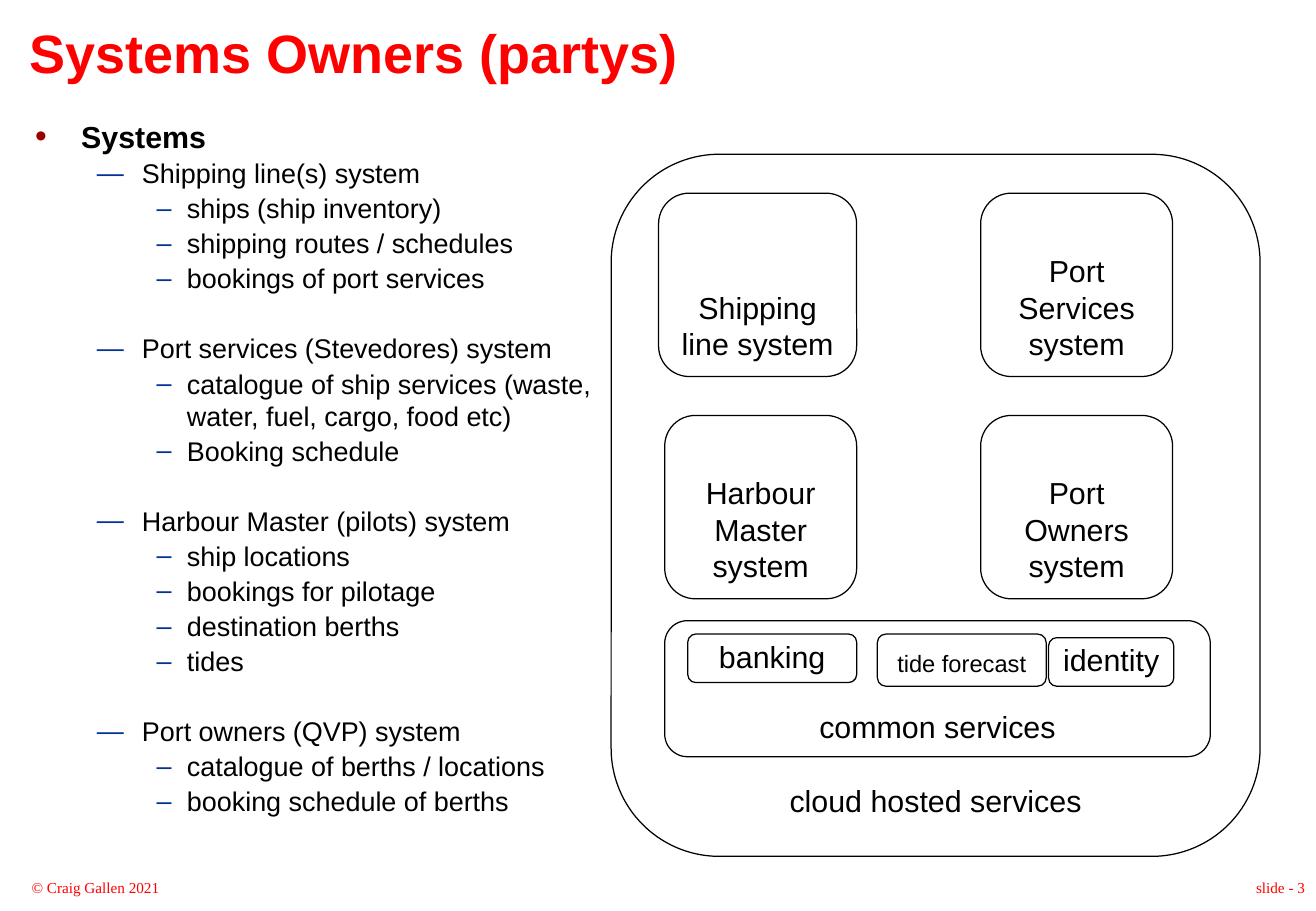
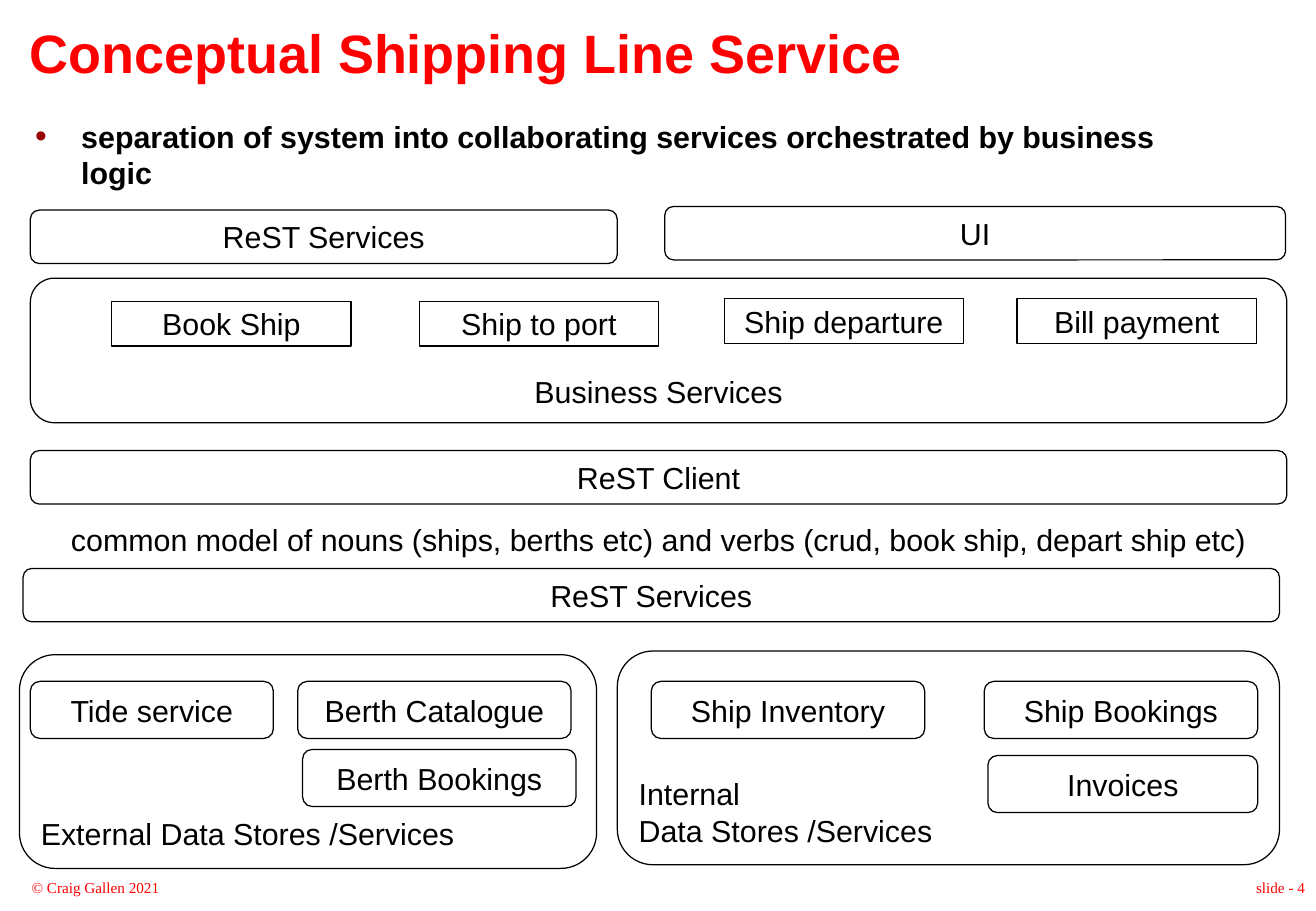
"""Build two slides on the systems and services of a port."""
from pptx import Presentation
from pptx.dml.color import RGBColor
from pptx.enum.shapes import MSO_SHAPE
from pptx.enum.text import MSO_ANCHOR, MSO_AUTO_SIZE, PP_ALIGN
from pptx.oxml import parse_xml
from pptx.oxml.ns import nsdecls
from pptx.util import Inches, Pt

RED = RGBColor(0xFF, 0x00, 0x00)
BLACK = RGBColor(0x00, 0x00, 0x00)
WHITE = RGBColor(0xFF, 0xFF, 0xFF)
DARK_RED = RGBColor(0x99, 0x00, 0x00)
NAVY = RGBColor(0x00, 0x33, 0x99)

CELL = Inches(0.1)
COLUMNS, ROWS = 108.3, 75
TITLE_ONLY = 5

BULLETS = (
    {"mark": "•", "color": DARK_RED, "percent": 110, "margin": 0.38, "hang": 0.38, "size": 18},
    {"mark": "—", "color": NAVY, "percent": 100, "margin": 0.88, "hang": 0.37, "size": 16},
    {"mark": "–", "color": NAVY, "percent": 100, "margin": 1.25, "hang": 0.25, "size": 16},
)

SYSTEMS = (
    ("Shipping line(s) system",
     ("ships (ship inventory)", "shipping routes / schedules", "bookings of port services")),
    ("Port services (Stevedores) system",
     ("catalogue of ship services (waste, water, fuel, cargo, food etc)", "Booking schedule")),
    ("Harbour Master (pilots) system",
     ("ship locations", "bookings for pilotage", "destination berths", "tides")),
    ("Port owners (QVP) system",
     ("catalogue of berths / locations", "booking schedule of berths")),
)


class Deck:
    """Holds the shared style and the current slide; lengths are in grid cells."""

    def __init__(self):
        self.presentation = Presentation()
        self.presentation.slide_width = int(COLUMNS * CELL)
        self.presentation.slide_height = ROWS * CELL
        self.slide = None

    def place(self, left, top, width, height):
        return [int(cells * CELL) for cells in (left, top, width, height)]

    def style(self, paragraph, size, color=BLACK, name="Arial", bold=False, align=PP_ALIGN.LEFT):
        paragraph.alignment = align
        font = paragraph.font
        font.name, font.size, font.bold = name, Pt(size), bold
        font.color.rgb = color

    def frame(self, shape, horizontal, vertical, anchor=MSO_ANCHOR.TOP, wrap=True):
        frame = shape.text_frame
        frame.word_wrap = wrap
        frame.auto_size = MSO_AUTO_SIZE.NONE
        frame.vertical_anchor = anchor
        frame.margin_left = frame.margin_right = Inches(horizontal)
        frame.margin_top = frame.margin_bottom = Inches(vertical)
        return frame

    def add_slide(self, title, number):
        self.slide = self.presentation.slides.add_slide(
            self.presentation.slide_layouts[TITLE_ONLY])
        shape = self.slide.shapes.title
        shape.left, shape.top, shape.width, shape.height = self.place(1.9, 2.3, 75.9, 4.7)
        frame = self.frame(shape, 0.05, 0)
        frame.text = title
        paragraph = frame.paragraphs[0]
        paragraph.line_spacing = 0.87
        self.style(paragraph, 32, RED, bold=True)
        footer = {"size": 9, "color": RED, "name": "Times New Roman"}
        self.text("© Craig Gallen 2021", 1.7, 72.3, 43, 1.5, **footer)
        self.text(f"slide - {number}", 65.3, 72.3, 43, 1.5, align=PP_ALIGN.RIGHT, **footer)

    def text(self, text, left, top, width, height, vertical=0, wrap=True, **style):
        shape = self.slide.shapes.add_textbox(*self.place(left, top, width, height))
        frame = self.frame(shape, 0.09, vertical, wrap=wrap)
        frame.text = text
        self.style(frame.paragraphs[0], **style)

    def bullets(self, items, width, height):
        shape = self.slide.shapes.add_textbox(*self.place(1.9, 9.2, width, height))
        frame = self.frame(shape, 0.1, 0.05)
        for index, (level, text, space) in enumerate(items):
            paragraph = frame.paragraphs[0] if index == 0 else frame.add_paragraph()
            paragraph.text = text
            paragraph.level = level
            paragraph.space_before = Pt(space)
            bullet = BULLETS[level]
            self.style(paragraph, bullet["size"], bold=level == 0)
            self.mark(paragraph, bullet)

    def mark(self, paragraph, bullet):
        properties = paragraph._p.get_or_add_pPr()
        properties.set("marL", str(Inches(bullet["margin"])))
        properties.set("indent", str(-Inches(bullet["hang"])))
        namespace = nsdecls("a")
        parts = (
            f'<a:buClr {namespace}><a:srgbClr val="{bullet["color"]}"/></a:buClr>',
            f'<a:buSzPct {namespace} val="{bullet["percent"] * 1000}"/>',
            f'<a:buFont {namespace} typeface="Arial"/>',
            f'<a:buChar {namespace} char="{bullet["mark"]}"/>',
        )
        defaults = properties.find("{*}defRPr")
        for part in parts:
            defaults.addprevious(parse_xml(part))

    def box(self, text, left, top, width, height, kind=MSO_SHAPE.ROUNDED_RECTANGLE,
            fill=None, anchor=MSO_ANCHOR.BOTTOM, size=18, align=PP_ALIGN.CENTER):
        shape = self.slide.shapes.add_shape(kind, *self.place(left, top, width, height))
        shape.shadow.inherit = False
        if fill is None:
            shape.fill.background()
        else:
            shape.fill.solid()
            shape.fill.fore_color.rgb = fill
        shape.line.color.rgb = BLACK
        shape.line.width = Pt(0.75)
        frame = self.frame(shape, 0.09, 0.05, anchor)
        frame.text = text
        for paragraph in frame.paragraphs:
            self.style(paragraph, size, align=align)


def add_owners(deck):
    deck.add_slide("Systems Owners (partys)", 3)
    items = [(0, "Systems", 1.6)]
    for index, (system, details) in enumerate(SYSTEMS):
        items.append((1, system, 22.3 if index else 1.6))
        items += [(2, detail, 1.6) for detail in details]
    deck.bullets(items, 53.4, 59.7)

    deck.box("cloud hosted services", 50.3, 12.7, 53.4, 57.8, fill=WHITE)
    for text, left, top, width in (
            ("Shipping line system", 54.2, 15.9, 16.3),
            ("Harbour Master system", 54.7, 34.2, 15.8),
            ("Port Services system", 80.7, 15.9, 15.8),
            ("Port Owners system", 80.7, 34.2, 15.8)):
        deck.box(text, left, top, width, 15.1, fill=WHITE)
    deck.box("common services", 54.7, 51.1, 44.9, 11.2, fill=WHITE)
    deck.box("banking", 56.6, 52.2, 13.9, 4, fill=WHITE)
    deck.box("tide forecast", 72.2, 52.2, 13.9, 4.3, fill=WHITE, size=14)
    deck.box("identity", 86.3, 52.5, 10.3, 4, fill=WHITE)


def add_shipping_service(deck):
    deck.add_slide("Conceptual Shipping Line Service", 4)
    deck.bullets([(0, "separation of system into collaborating services "
                      "orchestrated by business logic", 1.6)], 96.9, 4.8)

    for text, left, top, width in (
            ("ReST Services", 2.5, 17.3, 48.3),
            ("UI", 54.7, 17, 51.1),
            ("ReST Client", 2.5, 37.1, 103.4),
            ("ReST Services", 1.9, 46.8, 103.4)):
        deck.box(text, left, top, width, 4.4)
    deck.box("Business Services", 2.5, 22.9, 103.4, 11.9)
    for text, left, top in (
            ("Book Ship", 9.2, 24.8), ("Ship to port", 34.5, 24.8),
            ("Ship departure", 59.6, 24.6), ("Bill payment", 83.7, 24.6)):
        deck.box(text, left, top, 19.7, 3.7, kind=MSO_SHAPE.RECTANGLE,
                 fill=WHITE, anchor=MSO_ANCHOR.MIDDLE)
    deck.text("common model of nouns (ships, berths etc) and verbs "
              "(crud, book ship, depart ship etc)", 4.8, 42.4, 98.8, 4,
              vertical=0.05, wrap=False, size=18, align=PP_ALIGN.CENTER)

    for text, left, top, width in (
            ("External Data Stores /Services", 1.6, 53.9, 47.5),
            ("Internal\nData Stores /Services", 50.8, 53.6, 54.5)):
        deck.box(text, left, top, width, 17.6, align=PP_ALIGN.LEFT)
    for text, left, top, width in (
            ("Tide service", 2.5, 56.1, 20),
            ("Berth Catalogue", 24.5, 56.1, 22.5),
            ("Berth Bookings", 24.9, 61.7, 22.5),
            ("Ship Inventory", 53.6, 56.1, 22.5),
            ("Ship Bookings", 81, 56.1, 22.5),
            ("Invoices", 81.3, 62.2, 22.2)):
        deck.box(text, left, top, width, 4.7, anchor=MSO_ANCHOR.MIDDLE)


def main():
    deck = Deck()
    add_owners(deck)
    add_shipping_service(deck)
    deck.presentation.save("out.pptx")


if __name__ == "__main__":
    main()
